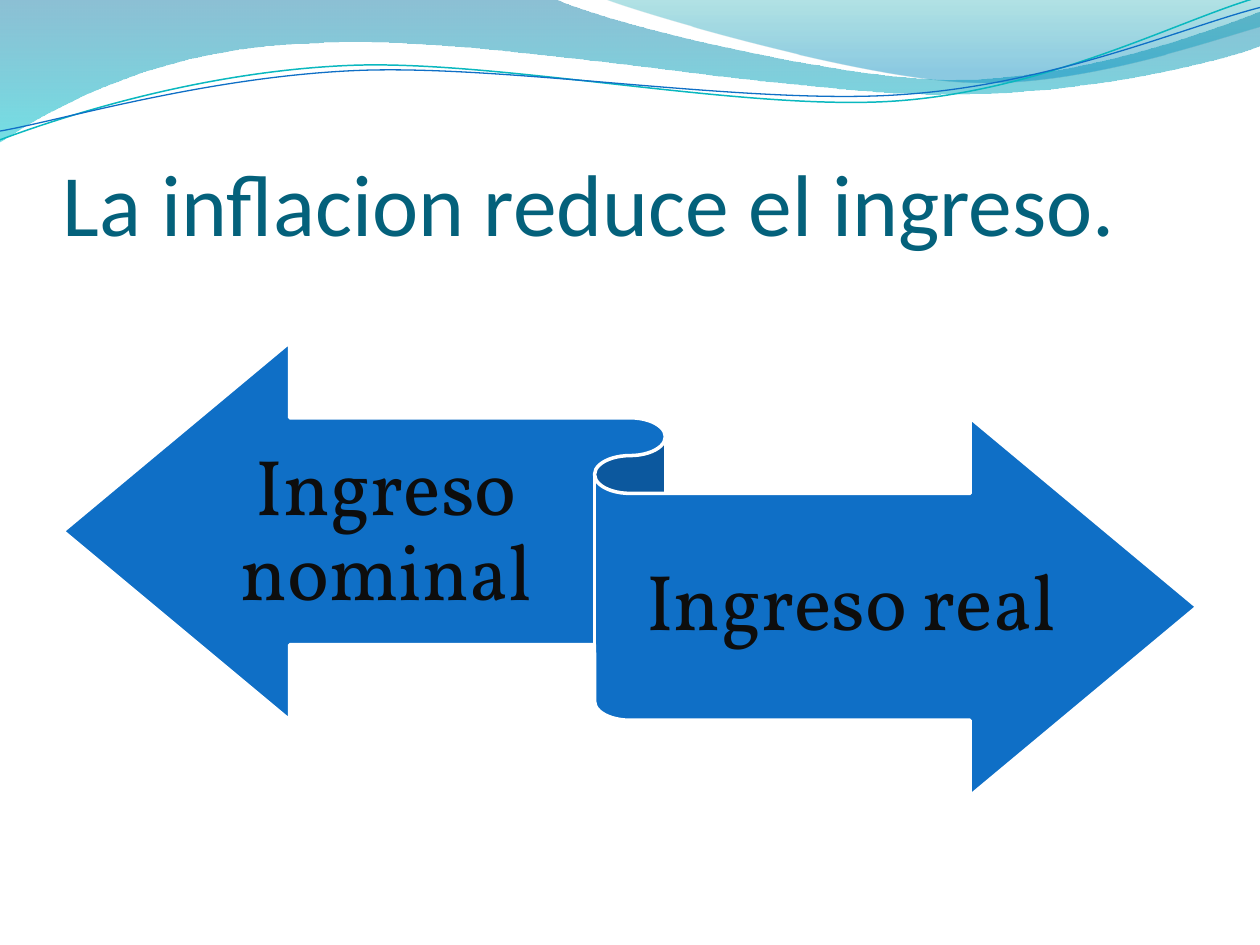
"""Builds the slide on inflation and income."""
import math
from pptx import Presentation, util as u
from pptx.dml.color import RGBColor
from pptx.enum import shapes, text
from pptx.oxml.ns import qn
from lxml import etree

NAVY = RGBColor(0x04, 0x61, 0x7B)
BLUE = RGBColor(0x0F, 0x6F, 0xC6)
TEAL = RGBColor(0x0A, 0xB8, 0xBF)
WHITE = RGBColor(0xFF, 0xFF, 0xFF)
INK = RGBColor(0x0D, 0x0D, 0x0D)
DEEP = RGBColor(0x00, 0x74, 0xA1)
AQUA = RGBColor(0x00, 0xC6, 0xCF)
SEA = RGBColor(0x00, 0xA1, 0xA9)
SKY = RGBColor(0x00, 0x8B, 0xBF)
TILT = -2.7


def put(item, vals):
    for key, val in vals.items():
        setattr(item, key, val)


def turn(dot, mid, angle):
    a = math.radians(angle)
    x, y = dot[0] - mid[0], dot[1] - mid[1]
    return (mid[0] + x * math.cos(a) - y * math.sin(a),
            mid[1] + x * math.sin(a) + y * math.cos(a))


class Deck:
    """Holds the text styles and the current slide."""

    title = {"size": u.Pt(50), "name": "Calibri"}
    label = {"size": u.Pt(45), "name": "Vollkorn"}

    def __init__(self):
        self.file = Presentation()
        put(self.file, {"slide_width": u.Pt(720), "slide_height": u.Pt(540)})
        self.slide = self.file.slides.add_slide(self.file.slide_layouts[6])

    def wave(self, start, parts, close=False, mid=None):
        dots = [start]
        for part in parts:
            dots += zip(part[::2], part[1::2])
        if mid:
            dots = [turn(dot, mid, -TILT) for dot in dots]
        dots = [(u.Pt(x), u.Pt(y)) for x, y in dots]
        pen = self.slide.shapes.build_freeform(*dots[0], scale=1.0)
        pen.add_line_segments(dots[1:], close=close)
        shape = pen.convert_to_shape()
        shape.shadow.inherit = False
        shape.rotation = TILT if mid else 0
        lines = iter(list(shape._element.iter(qn("a:lnTo"))))
        for part in parts:
            trio = [next(lines) for _ in part[::2]]
            if len(trio) == 3:
                bend = etree.Element(qn("a:cubicBezTo"))
                trio[0].addprevious(bend)
                for line in trio:
                    bend.append(line[0])
                    line.getparent().remove(line)
        return shape

    def band(self, start, parts, stops):
        shape = self.wave(start, parts, True)
        shape.line.fill.background()
        shape.fill.gradient()
        shape.fill.gradient_angle = 270
        for stop, (pos, hue, _) in zip(shape.fill.gradient_stops, stops):
            stop.position = pos
            stop.color.rgb = hue
        for node, (_, _, alpha) in zip(shape._element.iter(qn("a:srgbClr")), stops):
            etree.SubElement(node, qn("a:alpha")).set("val", str(alpha * 1000))

    def curve(self, start, parts, mid, hue, width):
        shape = self.wave(start, parts, mid=mid)
        shape.fill.background()
        shape.line.color.rgb = hue
        shape.line.width = u.Pt(width)

    def ribbon(self, *box):
        kind = shapes.MSO_SHAPE.LEFT_RIGHT_RIBBON
        shape = self.slide.shapes.add_shape(kind, *map(u.Pt, box))
        shape.shadow.inherit = False
        shape.fill.solid()
        shape.fill.fore_color.rgb = BLUE
        shape.line.color.rgb = WHITE
        shape.line.width = u.Pt(2)

    def text(self, words, box, font, hue, frame, para):
        body = self.slide.shapes.add_textbox(*map(u.Pt, box)).text_frame
        put(body, {"word_wrap": True, "margin_left": 0, "margin_right": 0, **frame})
        line = body.paragraphs[0]
        put(line, para)
        run = line.add_run()
        run.text = words
        put(run.font, font)
        run.font.color.rgb = hue


def main():
    deck = Deck()
    deck.band((0, 0), [
        (316.8, -0.7), (342.7, 12.2, 478.1, 45.4, 545.8, 45.4),
        (614.2, 45.4, 689.8, 18.7, 720, 6.5), (720.7, 25.9),
        (707.8, 31.7, 626.4, 54.7, 537.1, 54),
        (447.8, 54, 275, 20.2, 185, 24.5),
        (92.9, 25.9, 33.1, 59.8, -0.7, 81.4),
    ], [(0, DEEP, 45), (1, AQUA, 55)])
    deck.band((344.9, -0.7), [
        (366.5, 7.9, 491, 44.6, 553.7, 46.8),
        (616.3, 49.7, 691.9, 23, 720, 15.1), (720, 0),
    ], [(0, SEA, 30), (0.8, SKY, 45)])
    deck.curve((0, 79.9), [
        (34.6, 67, 113.8, 41, 199.4, 37.4),
        (284.4, 33.8, 427, 64.1, 513.4, 57.6),
        (599.8, 51.1, 675.4, 10.8, 718.6, -1.4),
    ], (359.3, 41.4), TEAL, 0.85)
    deck.curve((0, 74.9), [
        (33.8, 69.1, 118.1, 43.9, 203.8, 40.3),
        (290.2, 36.7, 429.8, 60.5, 516.2, 54),
        (601.9, 48.2, 677.5, 15.1, 720, 4.3),
    ], (359.6, 42.5), BLUE, 0.75)
    deck.text("La inflacion reduce el ingreso.", (36, 55.4, 648, 90), deck.title, NAVY,
              {"vertical_anchor": text.MSO_ANCHOR.BOTTOM, "margin_top": u.Pt(3.6),
               "margin_bottom": 0}, {})
    deck.ribbon(36, 195.6, 648, 259.2)
    frame = {"vertical_anchor": text.MSO_ANCHOR.MIDDLE, "margin_top": u.Pt(12.6),
             "margin_bottom": u.Pt(13.5)}
    para = {"alignment": text.PP_ALIGN.CENTER, "line_spacing": 0.9}
    for words, box in (("Ingreso nominal", (113.8, 241.4, 213.8, 127)),
                       ("Ingreso real", (360, 282.6, 252.7, 127))):
        deck.text(words, box, deck.label, INK, frame, para)
    deck.file.save("out.pptx")


if __name__ == "__main__":
    main()
